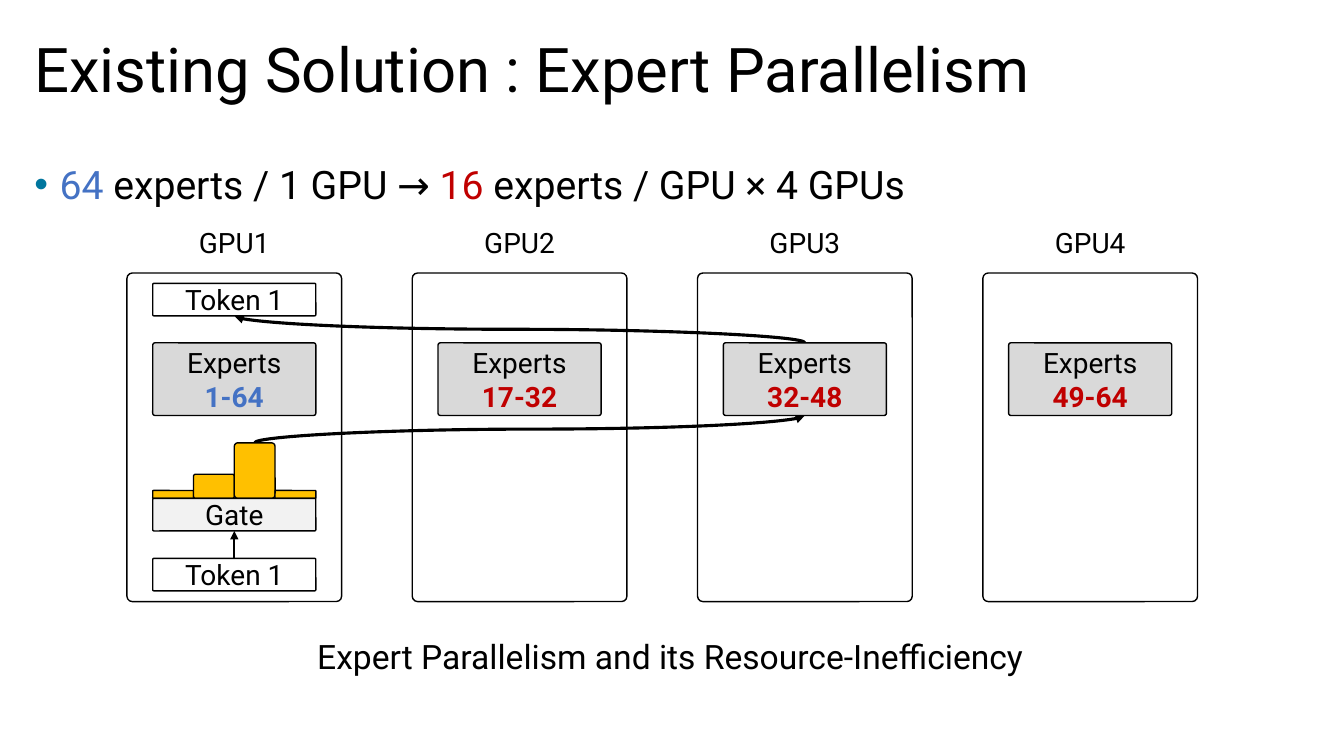
from lxml import etree
from pptx import Presentation
from pptx.dml.color import RGBColor
from pptx.enum.shapes import MSO_CONNECTOR as CONN, MSO_SHAPE as SHAPE
from pptx.enum.text import MSO_ANCHOR as ANCHOR, MSO_AUTO_SIZE as AUTO, PP_ALIGN as ALIGN
from pptx.oxml.ns import qn
from pptx.util import Cm, Pt

BLACK = RGBColor(0x00, 0x00, 0x00)
WHITE = RGBColor(0xFF, 0xFF, 0xFF)
BLUE = RGBColor(0x44, 0x72, 0xC4)
RED = RGBColor(0xC0, 0x00, 0x00)
TEAL = RGBColor(0x00, 0x76, 0x9E)
GOLD = RGBColor(0xFF, 0xC0, 0x00)
GREY = RGBColor(0xD9, 0xD9, 0xD9)
PALE = RGBColor(0xF2, 0xF2, 0xF2)
FONT = "Roboto"

PANEL_X, PANEL_Y, PANEL_W, PANEL_H = 3.2, 6.88, 5.41, 8.28
PITCH = 7.19
BOX_W, BOX_H = 4.11, 0.82
BOX_DX = (PANEL_W - BOX_W) / 2
LABEL_Y, TOP_TOKEN_Y, GATE_Y, TOKEN_Y = 5.69, 7.14, 12.56, 14.07
EXPERTS_Y, EXPERTS_H = 8.64, 1.83
BAR_W = BOX_W / 4
BAR_HEIGHTS = [0.2, 0.61, 1.4, 0.2]
EXPERTS = [("1-64", BLUE), ("17-32", RED), ("32-48", RED), ("49-64", RED)]


def panel_x(i):
    return PANEL_X + i * PITCH


def center_x(i):
    return panel_x(i) + PANEL_W / 2


def place(sp, x, y, w, h):
    sp.left, sp.top, sp.width, sp.height = Cm(x), Cm(y), Cm(w), Cm(h)


def add_run(p, text, size, color=BLACK, bold=False):
    r = p.add_run()
    r.text = text
    r.font.name = FONT
    r.font.size = Pt(size)
    r.font.bold = bold
    r.font.color.rgb = color


def add_box(s, x, y, w, h, fill=None, lines=(), outline=True, radius=0.037):
    sp = s.shapes.add_shape(SHAPE.ROUNDED_RECTANGLE, Cm(x), Cm(y), Cm(w), Cm(h))
    sp.adjustments[0] = radius
    sp.shadow.inherit = False
    if fill is None:
        sp.fill.background()
    else:
        sp.fill.solid()
        sp.fill.fore_color.rgb = fill
    if outline:
        sp.line.color.rgb = BLACK
        sp.line.width = Pt(1)
    else:
        sp.line.fill.background()
    tf = sp.text_frame
    tf.margin_left = tf.margin_right = tf.margin_top = tf.margin_bottom = 0
    tf.vertical_anchor = ANCHOR.MIDDLE
    for i, (text, color, bold) in enumerate(lines):
        p = tf.add_paragraph() if i else tf.paragraphs[0]
        p.alignment = ALIGN.CENTER
        add_run(p, text, 20, color, bold)


def add_arrow(s, kind, x1, y1, x2, y2, width):
    c = s.shapes.add_connector(kind, Cm(x1), Cm(y1), Cm(x2), Cm(y2))
    c.line.color.rgb = BLACK
    c.line.width = Pt(width)
    ln = c.line._get_or_add_ln()
    etree.SubElement(ln, qn("a:tailEnd"), type="triangle")
    etree.SubElement(c._element.spPr, qn("a:effectLst"))
    return c


def add_curve(s, x1, y1, x2, y2):
    cx, cy = (x1 + x2) / 2, (y1 + y2) / 2
    turn = 1 if x2 > x1 else -1
    dx, dy = turn * (y1 - cy), turn * (cx - x1)
    c = add_arrow(s, CONN.CURVE, cx + dx, cy + dy, cx - dx, cy - dy, 2.25)
    angle = 90 if turn == 1 else 270
    c._element.spPr.find(qn("a:xfrm")).set("rot", str(angle * 60000))


def add_title(s):
    sp = s.shapes.title
    place(sp, 0.61, 0, 32.56, 3.68)
    tf = sp.text_frame
    tf.auto_size = AUTO.NONE
    tf.vertical_anchor = ANCHOR.MIDDLE
    p = tf.paragraphs[0]
    p.alignment = ALIGN.LEFT
    p.line_spacing = 0.9
    add_run(p, "Existing Solution : Expert Parallelism", 44)


def add_body(s):
    sp = s.placeholders[1]
    place(sp, 0.61, 4.04, 32.56, 12.47)
    tf = sp.text_frame
    tf.auto_size = AUTO.NONE
    p = tf.paragraphs[0]
    pPr = p._p.get_or_add_pPr()
    pPr.set("marL", str(Cm(0.64)))
    pPr.set("indent", str(Cm(-0.64)))
    clr = etree.SubElement(pPr, qn("a:buClr"))
    etree.SubElement(clr, qn("a:srgbClr"), val=str(TEAL))
    etree.SubElement(pPr, qn("a:buFont"), typeface="Arial")
    etree.SubElement(pPr, qn("a:buChar"), char="•")
    p.line_spacing = 0.9
    p.space_before = Pt(0)
    for text, color in [("64", BLUE), (" experts / 1 GPU → ", BLACK),
                        ("16 ", RED), ("experts / GPU × 4 GPUs", BLACK)]:
        add_run(p, text, 28, color)


def add_caption(s):
    tf = s.shapes.add_textbox(Cm(3.2), Cm(15.88), Cm(27.38), Cm(1.3)).text_frame
    tf.word_wrap = True
    tf.vertical_anchor = ANCHOR.MIDDLE
    p = tf.paragraphs[0]
    p.alignment = ALIGN.CENTER
    add_run(p, "Expert Parallelism and its Resource-Inefficiency", 24)


def add_gpu(s, i, span, color):
    x = panel_x(i)
    add_box(s, x, PANEL_Y, PANEL_W, PANEL_H, radius=0.025)
    add_box(s, x + BOX_DX, LABEL_Y, BOX_W, BOX_H,
            lines=[(f"GPU{i + 1}", BLACK, False)], outline=False)
    add_box(s, x + BOX_DX, EXPERTS_Y, BOX_W, EXPERTS_H, GREY,
            [("Experts", BLACK, False), (span, color, True)], radius=0.031)


def add_gating(s):
    x = panel_x(0) + BOX_DX
    for i, h in enumerate(BAR_HEIGHTS):
        add_box(s, x + i * BAR_W, GATE_Y - h, BAR_W, h, GOLD, radius=0.084)
    for text, y, fill in [("Token 1", TOP_TOKEN_Y, WHITE), ("Gate", GATE_Y, PALE),
                          ("Token 1", TOKEN_Y, WHITE)]:
        add_box(s, x, y, BOX_W, BOX_H, fill, [(text, BLACK, False)])
    add_arrow(s, CONN.STRAIGHT, center_x(0), TOKEN_Y, center_x(0), GATE_Y + BOX_H, 1.5)


def main():
    prs = Presentation()
    prs.slide_width, prs.slide_height = Cm(33.87), Cm(19.05)
    s = prs.slides.add_slide(prs.slide_layouts[1])
    add_title(s)
    add_body(s)
    add_caption(s)
    add_curve(s, center_x(0) + BAR_W / 2, GATE_Y - max(BAR_HEIGHTS),
              center_x(2), EXPERTS_Y + EXPERTS_H)
    add_curve(s, center_x(2), EXPERTS_Y, center_x(0), TOP_TOKEN_Y + BOX_H)
    for i, (span, color) in enumerate(EXPERTS):
        add_gpu(s, i, span, color)
    add_gating(s)
    prs.save("out.pptx")


if __name__ == "__main__":
    main()
